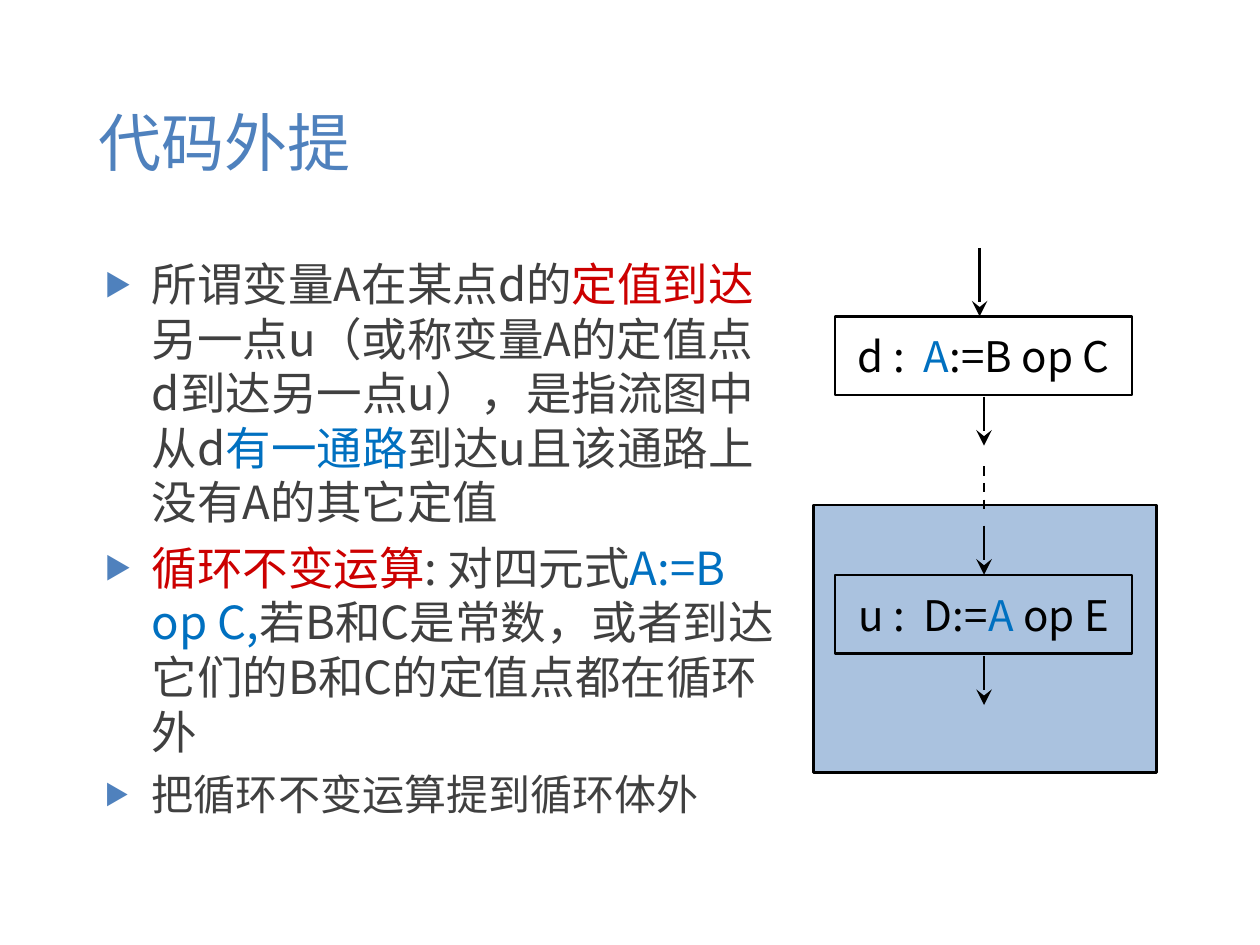
from dataclasses import dataclass

from lxml.etree import SubElement
from pptx import Presentation
from pptx.dml.color import RGBColor
from pptx.enum.dml import MSO_LINE
from pptx.enum.shapes import MSO_CONNECTOR, MSO_SHAPE
from pptx.enum.text import MSO_ANCHOR, PP_ALIGN
from pptx.oxml.ns import qn
from pptx.util import Emu, Inches, Pt

SLIDE_WIDTH = Emu(10080625)
SLIDE_HEIGHT = Emu(7559675)
FONT = "Noto Sans CJK SC"
ACCENT, BLACK, GREY, RED, BLUE = "4F81BD", "000000", "404040", "CC0000", "0070C0"
LINE_WIDTH = Pt(1.5)
INDENT = Inches(0.41)

Run = tuple[str, str]


@dataclass
class Area:
    """A rectangle on a grid of 100 columns by 100 rows."""
    column: float
    row: float
    columns: float
    rows: float

    def lengths(self) -> tuple[int, int, int, int]:
        return (across(self.column), down(self.row),
                across(self.columns), down(self.rows))


@dataclass
class Statement:
    row: float
    runs: list[Run]


@dataclass
class Flow:
    column: float
    row: float
    rows: float = 5.2
    dashed: bool = False


@dataclass
class Bullet:
    runs: list[Run]
    size: float = 28.7


TITLE = Area(6.9, 5.25, 86.3, 19.35)
BODY = Area(7.44, 26.6, 54.9, 61.43)
LOOP = Area(64.58, 53.45, 27.22, 28.3)
STATEMENT_COLUMN, STATEMENT_COLUMNS, STATEMENT_ROWS = 66.28, 23.59, 8.34
FLOW_COLUMN = 78.1

BULLETS = [
    Bullet([("所谓变量A在某点d的", GREY), ("定值到达", RED),
            ("另一点u（或称变量A的定值点d到达另一点u），是指流图中从d", GREY),
            ("有一通路", BLUE), ("到达u且该通路上没有A的其它定值", GREY)]),
    Bullet([("循环不变运算", RED), (": 对四元式", GREY), ("A:=B op C,", BLUE),
            ("若B和C是常数，或者到达它们的B和C的定值点都在循环外", GREY)]),
    Bullet([("把循环不变运算提到循环体外", GREY)], size=26.5),
]
STATEMENTS = [
    Statement(33.49, [("d :  ", BLACK), ("A", BLUE), (":=B op C", BLACK)]),
    Statement(60.82, [("u :  D:=", BLACK), ("A", BLUE), (" op E", BLACK)]),
]
FLOWS = [
    Flow(77.75, 26.24, rows=7.25),
    Flow(FLOW_COLUMN, 41.96),
    Flow(FLOW_COLUMN, 55.62),
    Flow(FLOW_COLUMN, 49.33, dashed=True),
    Flow(FLOW_COLUMN, 69.41),
]


def across(columns: float) -> int:
    return round(SLIDE_WIDTH * columns / 100)


def down(rows: float) -> int:
    return round(SLIDE_HEIGHT * rows / 100)


def color(value: str) -> RGBColor:
    return RGBColor.from_string(value)


def write(paragraph, runs: list[Run], *, size: float, align=PP_ALIGN.LEFT) -> None:
    paragraph.alignment = align
    for text, run_color in runs:
        run = paragraph.add_run()
        run.text = text
        run.font.size = Pt(size)
        run.font.name = FONT
        run.font.color.rgb = color(run_color)
        SubElement(run.font._element, qn("a:ea"), typeface=FONT)


def add_bullet(paragraph) -> None:
    properties = paragraph._p.get_or_add_pPr()
    properties.set("marL", str(INDENT))
    properties.set("indent", str(-INDENT))
    bullet_color = SubElement(properties, qn("a:buClr"))
    SubElement(bullet_color, qn("a:srgbClr"), val=ACCENT)
    SubElement(properties, qn("a:buSzPct"), val="60000")
    SubElement(properties, qn("a:buFont"), typeface=FONT)
    SubElement(properties, qn("a:buChar"), char="▶")


def add_text_box(slide, area: Area, anchor):
    frame = slide.shapes.add_textbox(*area.lengths()).text_frame
    frame.word_wrap = True
    frame.vertical_anchor = anchor
    return frame


def add_title(slide) -> None:
    frame = add_text_box(slide, TITLE, MSO_ANCHOR.MIDDLE)
    write(frame.paragraphs[0], [("代码外提", ACCENT)], size=39.7)


def add_body(slide) -> None:
    frame = add_text_box(slide, BODY, MSO_ANCHOR.TOP)
    frame.margin_top = Inches(0.04)
    for index, bullet in enumerate(BULLETS):
        paragraph = frame.add_paragraph() if index else frame.paragraphs[0]
        add_bullet(paragraph)
        if index:
            paragraph.space_before = Pt(6.6)
        write(paragraph, bullet.runs, size=bullet.size)


def add_box(slide, area: Area):
    """Add an unfilled rectangle with a black outline."""
    box = slide.shapes.add_shape(MSO_SHAPE.RECTANGLE, *area.lengths())
    box.shadow.inherit = False
    box.fill.background()
    box.line.color.rgb = color(BLACK)
    box.line.width = LINE_WIDTH
    return box


def add_loop(slide) -> None:
    loop = add_box(slide, LOOP)
    loop.fill.solid()
    loop.fill.fore_color.rgb = color(ACCENT)
    fill_color = loop._element.spPr.find(qn("a:solidFill"))[0]
    SubElement(fill_color, qn("a:alpha"), val="48000")


def add_statement(slide, statement: Statement) -> None:
    area = Area(STATEMENT_COLUMN, statement.row, STATEMENT_COLUMNS, STATEMENT_ROWS)
    frame = add_box(slide, area).text_frame
    frame.word_wrap = False
    frame.vertical_anchor = MSO_ANCHOR.MIDDLE
    write(frame.paragraphs[0], statement.runs, size=26.5, align=PP_ALIGN.CENTER)


def add_flow(slide, flow: Flow) -> None:
    x = across(flow.column)
    connector = slide.shapes.add_connector(
        MSO_CONNECTOR.STRAIGHT, x, down(flow.row), x, down(flow.row + flow.rows))
    connector.line.color.rgb = color(BLACK)
    connector.line.width = LINE_WIDTH
    if flow.dashed:
        connector.line.dash_style = MSO_LINE.DASH
    else:
        SubElement(connector.line._get_or_add_ln(), qn("a:tailEnd"),
                   type="stealth", w="lg", len="lg")
    SubElement(connector._element.spPr, qn("a:effectLst"))


def main() -> None:
    presentation = Presentation()
    presentation.slide_width = SLIDE_WIDTH
    presentation.slide_height = SLIDE_HEIGHT
    slide = presentation.slides.add_slide(presentation.slide_layouts[6])
    add_title(slide)
    add_loop(slide)
    add_body(slide)
    for statement in STATEMENTS:
        add_statement(slide, statement)
    for flow in FLOWS:
        add_flow(slide, flow)
    presentation.save("out.pptx")


if __name__ == "__main__":
    main()
